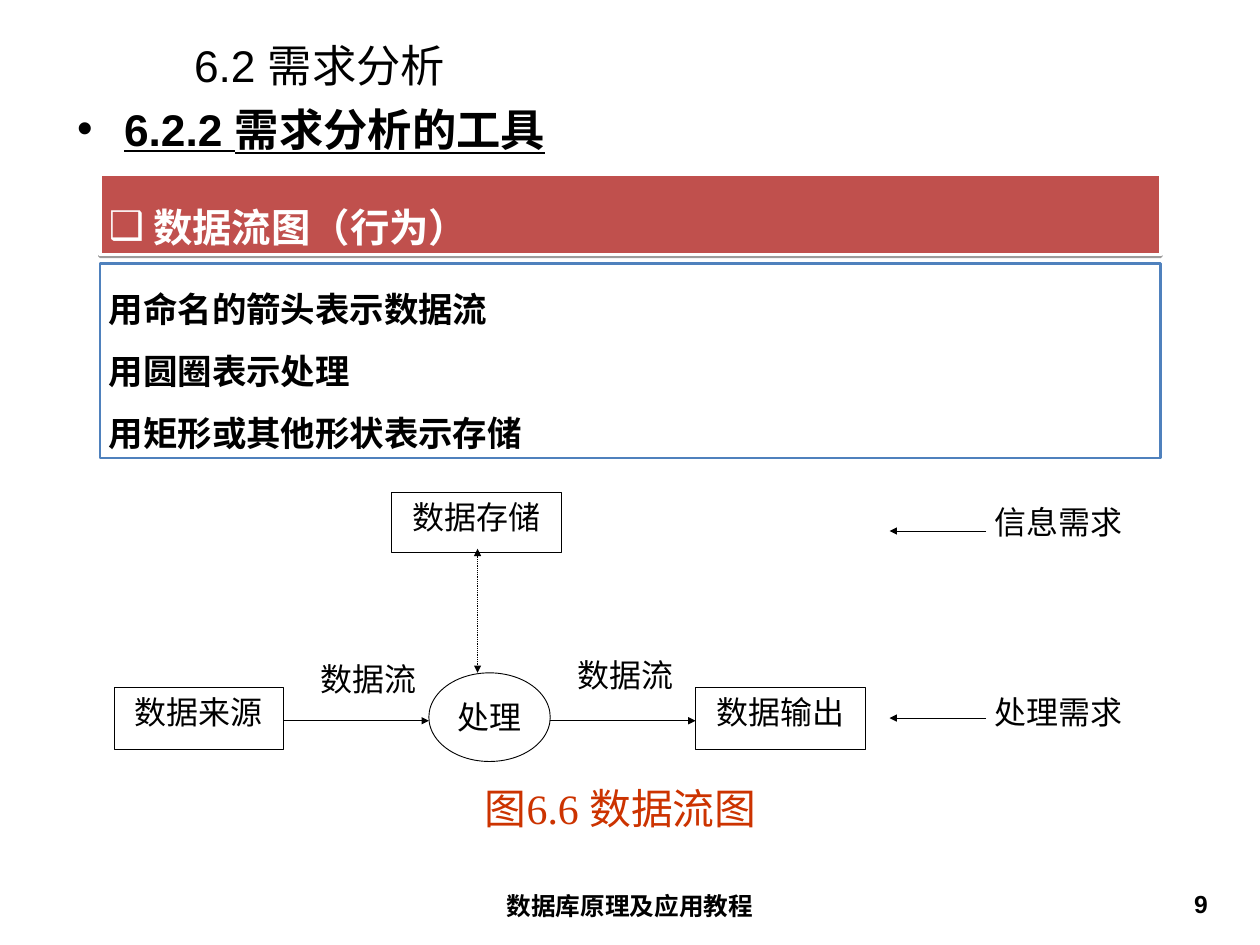
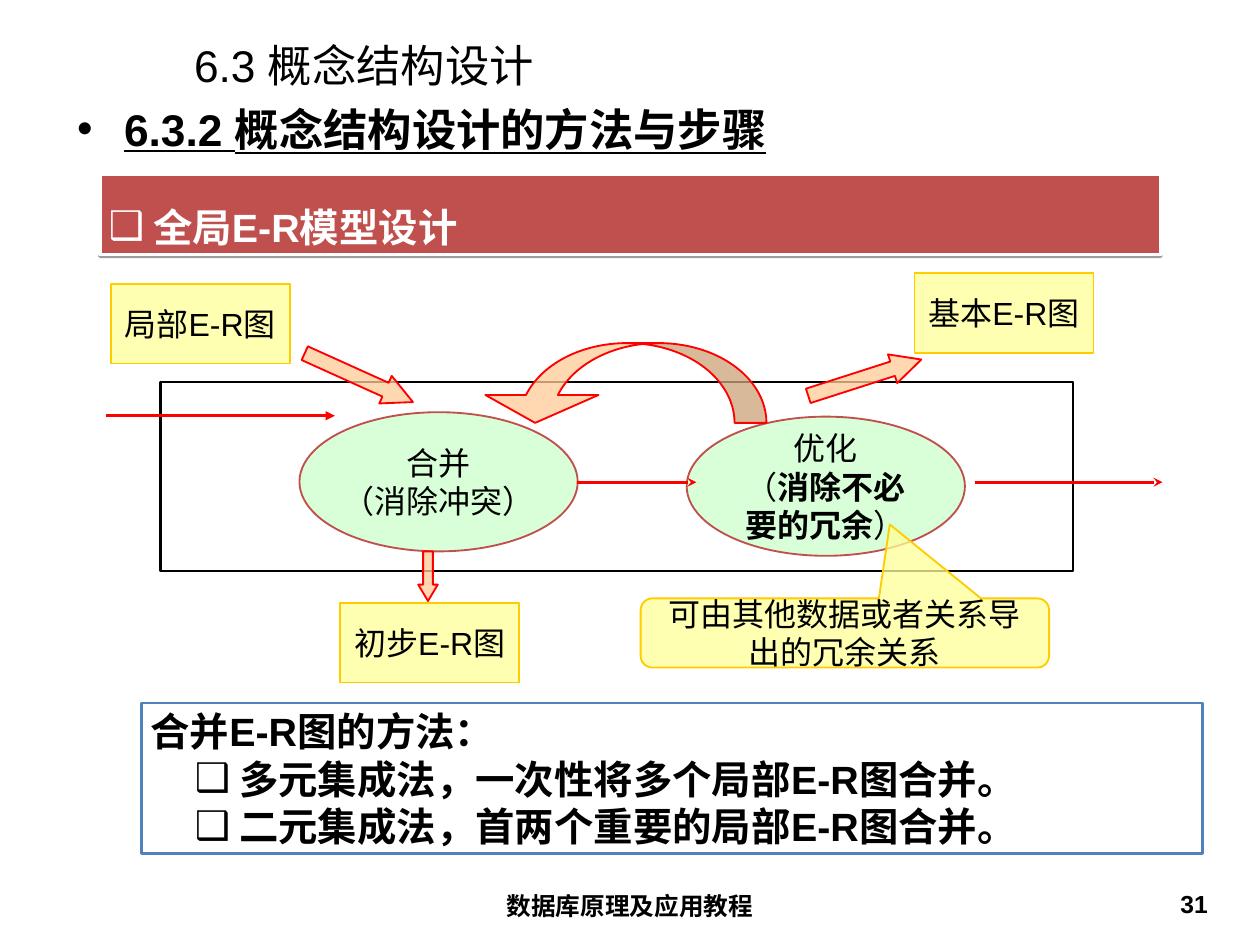
from dataclasses import dataclass

from lxml import etree
from pptx import Presentation
from pptx.dml.color import RGBColor
from pptx.enum.dml import MSO_LINE
from pptx.enum.shapes import MSO_CONNECTOR, MSO_SHAPE
from pptx.enum.text import MSO_ANCHOR, PP_ALIGN
from pptx.oxml.ns import qn
from pptx.util import Emu, Pt

RECT, OVAL = MSO_SHAPE.RECTANGLE, MSO_SHAPE.OVAL
PROCESS = MSO_SHAPE.FLOWCHART_PROCESS
BLOCK_ARROW = MSO_SHAPE.RIGHT_ARROW
RETURN_ARROW = MSO_SHAPE.CURVED_UP_ARROW
CALLOUT = MSO_SHAPE.ROUNDED_RECTANGULAR_CALLOUT
LEFT, CENTER = PP_ALIGN.LEFT, PP_ALIGN.CENTER
RIGHT, JUSTIFY = PP_ALIGN.RIGHT, PP_ALIGN.JUSTIFY
TOP, MIDDLE = MSO_ANCHOR.TOP, MSO_ANCHOR.MIDDLE
DOTTED = MSO_LINE.ROUND_DOT

PX = 9144  # 100 px to the inch
PAGE_WIDTH, PAGE_HEIGHT = 1422, 1066


@dataclass(frozen=True)
class Theme:
    sans: str = "Arial"
    serif: str = "Times New Roman"
    ink: str = "000000"
    paper: str = "FFFFFF"
    band: str = "C0504D"
    frame: str = "4F81BD"
    caption: str = "CC3300"
    flow: str = "FF0000"
    arrow: str = "FFCC99"
    note: str = "FFFF99"
    note_edge: str = "FFCC00"
    step: str = "CCFFCC"
    title_size: int = 36
    caption_size: int = 34
    band_size: int = 32
    body_size: int = 28
    label_size: int = 26
    footer_size: int = 20


THEME = Theme()
WIDE, NARROW = (14, 7), (10, 5)
GLASS = 76  # opacity of the tinted shapes, in percent


# Formatting helpers
def px(*lengths):
    return [Emu(length * PX) for length in lengths]


def color(code):
    return RGBColor.from_string(code)


def add_xml(parent, tag, **attributes):
    return etree.SubElement(parent, qn(tag), attributes)


def set_bullet(para, symbol, tint, left, hang):
    properties = para._p.get_or_add_pPr()
    properties.set("marL", str(left * PX))
    properties.set("indent", str(-hang * PX))
    add_xml(add_xml(properties, "a:buClr"), "a:srgbClr", val=tint)
    add_xml(properties, "a:buFont", typeface=THEME.sans)
    add_xml(properties, "a:buChar", char=symbol)


def write(box, lines, size, tint=THEME.ink, font=THEME.sans, align=LEFT,
          spacing=None, bullet=None, margins=NARROW, anchor=TOP, wrap=True,
          bold=False, underline=None):
    """Each line is a string or a list of (text, bold) spans.

    bullet is (symbol, left, hang, first bulleted line).
    """
    frame = box.text_frame
    side, edge = px(*margins)
    frame_format = dict(margin_left=side, margin_right=side, margin_top=edge,
                        margin_bottom=edge, vertical_anchor=anchor, word_wrap=wrap)
    for name, value in frame_format.items():
        setattr(frame, name, value)
    for index, line in enumerate(lines):
        para = frame.add_paragraph() if index else frame.paragraphs[0]
        if bullet and index >= bullet[3]:
            set_bullet(para, bullet[0], tint, bullet[1], bullet[2])
        para.alignment = align
        para.line_spacing = spacing
        for text, heavy in [(line, bold)] if isinstance(line, str) else line:
            span = para.add_run()
            span.text = text
            span_format = dict(name=font, size=Pt(size), bold=heavy, underline=underline)
            for name, value in span_format.items():
                setattr(span.font, name, value)
            span.font.color.rgb = color(tint)


# Element kinds
def add_text(page, place, lines, size, **text_format):
    write(page.shapes.add_textbox(*px(*place)), lines, size, **text_format)


def add_box(page, kind, place, line, width, fill=None, opacity=100,
            rotation=0, adjust=()):
    box = page.shapes.add_shape(kind, *px(*place))
    box.shadow.inherit = False
    box.rotation = rotation
    box.line.color.rgb = color(line)
    box.line.width = Pt(width)
    for index, value in enumerate(adjust):
        box.adjustments[index] = value
    if fill is None:
        box.fill.background()
    else:
        box.fill.solid()
        box.fill.fore_color.rgb = color(fill)
        if opacity < 100:
            tint = box.element.spPr.find(qn("a:solidFill"))[0]
            add_xml(tint, "a:alpha", val=str(opacity * 1000))
    return box


def add_line(page, start, end, tint=THEME.ink, width=0.75, tail="triangle",
             head=None, dash=None):
    line = page.shapes.add_connector(MSO_CONNECTOR.STRAIGHT, *px(*start, *end))
    line.line.color.rgb = color(tint)
    line.line.width = Pt(width)
    if dash:
        line.line.dash_style = dash
    outline = line.line._get_or_add_ln()
    for tag, shape in (("a:headEnd", head), ("a:tailEnd", tail)):
        if shape:
            add_xml(outline, tag, type=shape)
    add_xml(line.element.spPr, "a:effectLst")


def add_flow_node(page, kind, place, label, anchor=TOP):
    box = add_box(page, kind, place, THEME.ink, 0.75)
    write(box, [label], THEME.label_size, font=THEME.serif, align=CENTER, anchor=anchor)


def add_note(page, place, label, kind=PROCESS, wrap=False, adjust=()):
    box = add_box(page, kind, place, THEME.note_edge, 1.5, THEME.note, GLASS, adjust=adjust)
    write(box, [label], THEME.label_size, align=CENTER, margins=WIDE,
          anchor=MIDDLE, wrap=wrap)


def add_step(page, place, lines):
    box = add_box(page, OVAL, place, THEME.band, 1.5, THEME.step, GLASS)
    write(box, lines, THEME.label_size, align=CENTER, margins=WIDE,
          anchor=MIDDLE, wrap=False)


def add_panel(page, place, lines, size, **text_format):
    box = add_box(page, RECT, place, THEME.frame, 2, THEME.paper)
    write(box, lines, size, bold=True, **text_format)


def add_band(page, label):
    band = add_box(page, RECT, (113, 197, 1197, 90), THEME.paper, 3, THEME.band)
    effects = band.element.spPr.find(qn("a:effectLst"))
    shadow = add_xml(effects, "a:outerShdw", blurRad="0", dist=str(Pt(1.6)),
                     dir="5400000", rotWithShape="0")
    tint = add_xml(shadow, "a:srgbClr", val=THEME.ink)
    add_xml(tint, "a:alpha", val="38000")
    write(band, [label], THEME.band_size, THEME.paper, spacing=1.5, bold=True,
          bullet=("❑", 50, 50, 0))


def add_page(deck, title, heading, topic, number):
    page = deck.slides.add_slide(deck.slide_layouts[6])
    add_text(page, (205, 45, 1183, 57), [title], THEME.title_size,
             margins=WIDE, anchor=MIDDLE)
    add_text(page, (73, 108, 1280, 89), [heading], THEME.title_size, margins=WIDE,
             bold=True, underline=True, bullet=("•", 53, 53, 0))
    add_text(page, (486, 998, 450, 55), ["数据库原理及应用教程"], THEME.footer_size,
             align=CENTER, margins=WIDE, bold=True)
    add_text(page, (1041, 998, 332, 55), [number], THEME.footer_size,
             align=RIGHT, bold=True)
    add_band(page, topic)
    return page


# Slides
def build_data_flow(deck):
    page = add_page(deck, "6.2 需求分析", "6.2.2 需求分析的工具", "数据流图（行为）", "9")
    add_panel(page, (113, 297, 1197, 220),
              ["用命名的箭头表示数据流", "用圆圈表示处理", "用矩形或其他形状表示存储"],
              THEME.body_size, spacing=1.5)

    # Nodes
    add_flow_node(page, RECT, (442, 556, 192, 67), "数据存储")
    add_flow_node(page, RECT, (129, 776, 191, 70), "数据来源")
    add_flow_node(page, OVAL, (484, 759, 137, 100), "处理", MIDDLE)
    add_flow_node(page, RECT, (785, 776, 192, 70), "数据输出")

    # Flows
    for left, right in ((320, 484), (621, 785)):
        add_line(page, (left, 813), (right, 813))
    add_line(page, (539, 619), (539, 759), head="triangle", dash=DOTTED)
    for left, top in ((610, 735), (320, 739)):
        add_text(page, (left, top, 192, 60), ["数据流"], THEME.label_size,
                 font=THEME.serif, align=CENTER)

    # Requirement labels
    for label, top, arrow_y in (("信息需求", 562, 599), ("处理需求", 776, 810)):
        add_line(page, (1113, arrow_y), (1004, arrow_y))
        add_text(page, (1113, top, 191, 48), [label], THEME.label_size,
                 font=THEME.serif, align=JUSTIFY)

    add_text(page, (139, 884, 1123, 41), ["图6.6 数据流图"], THEME.caption_size,
             tint=THEME.caption, font=THEME.serif, align=CENTER, spacing=0.9)


def build_global_model(deck):
    page = add_page(deck, "6.3 概念结构设计", "6.3.2 概念结构设计的方法与步骤",
                    "全局E-R模型设计", "31")
    add_panel(page, (160, 793, 1197, 170),
              ["合并E-R图的方法：", "多元集成法，一次性将多个局部E-R图合并。",
               "二元集成法，首两个重要的局部E-R图合并。"],
              THEME.band_size, bullet=("❑", 100, 50, 1))

    # Process frame and steps
    add_box(page, RECT, (181, 431, 1030, 213), THEME.ink, 2)
    add_step(page, (338, 465, 314, 157), ["合并", "（消除冲突）"])
    add_step(page, (775, 470, 314, 157),
             ["优化", [("（", False), ("消除不必", True)],
              [("要的冗余", True), ("）", False)]])

    # Diagrams going in and out
    for label, left, top in (("局部E-R图", 125, 320), ("基本E-R图", 1032, 308),
                             ("初步E-R图", 384, 680)):
        add_note(page, (left, top, 202, 90), label)

    # Arrows
    for kind, place, rotation, adjust in (
            (BLOCK_ARROW, (338, 409, 134, 34), 24.3, (0.5, 1)),
            (BLOCK_ARROW, (909, 409, 134, 34), 342.2, (0.5, 1)),
            (BLOCK_ARROW, (455, 639, 56, 22), 90, (0.5, 0.84)),
            (RETURN_ARROW, (540, 387, 325, 90), 180, (0.4, 1.42, 0.35))):
        add_box(page, kind, place, THEME.flow, 1.5, THEME.arrow, GLASS, rotation, adjust)
    for left, right, y, tail in ((120, 378, 469, "triangle"), (651, 786, 544, "stealth"),
                                 (1100, 1312, 544, "stealth")):
        add_line(page, (left, y), (right, y), THEME.flow, 2.5, tail)

    add_note(page, (723, 675, 461, 78), "可由其他数据或者关系导出的冗余关系",
             CALLOUT, True, (0.11, -1.57, 0.17))


def main():
    deck = Presentation()
    deck.slide_width, deck.slide_height = px(PAGE_WIDTH, PAGE_HEIGHT)
    build_data_flow(deck)
    build_global_model(deck)
    deck.save("out.pptx")


if __name__ == "__main__":
    main()
